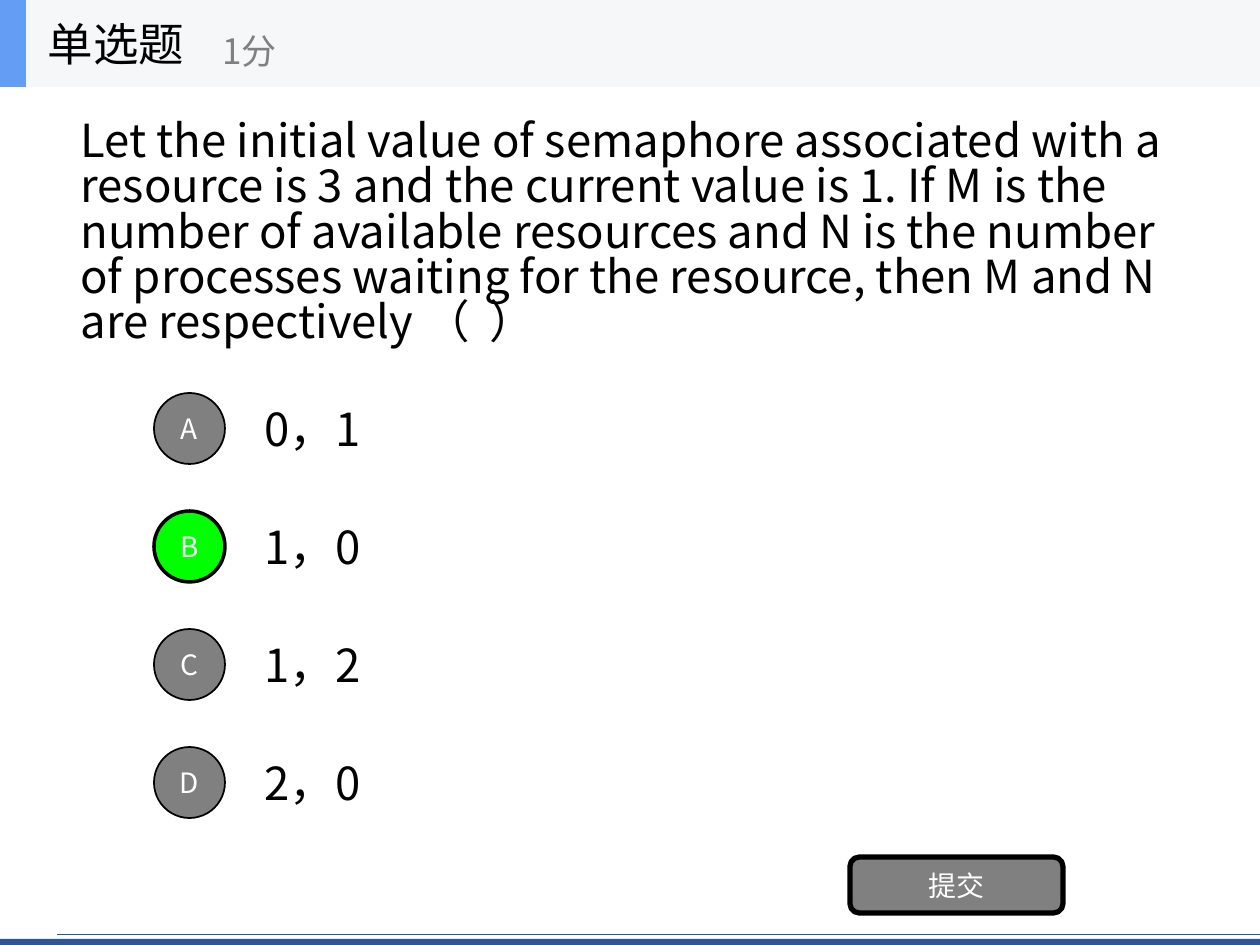
from lxml import etree
from pptx import Presentation
from pptx.dml.color import RGBColor
from pptx.enum.shapes import MSO_CONNECTOR, MSO_SHAPE
from pptx.enum.text import MSO_ANCHOR, MSO_AUTO_SIZE, PP_ALIGN
from pptx.oxml.ns import qn
from pptx.util import Pt

PIXEL = 914400 / 126
FONT = "Noto Sans CJK SC"
BLACK = RGBColor(0x00, 0x00, 0x00)
WHITE = RGBColor(0xFF, 0xFF, 0xFF)
GRAY = RGBColor(0x80, 0x80, 0x80)
GREEN = RGBColor(0x00, 0xFF, 0x00)
NAVY = RGBColor(0x2F, 0x55, 0x97)
SKY = RGBColor(0x63, 0x9E, 0xF4)
PALE = RGBColor(0xF6, 0xF7, 0xF8)

RECTANGLE = MSO_SHAPE.RECTANGLE
ROUNDED = MSO_SHAPE.ROUNDED_RECTANGLE
OVAL = MSO_SHAPE.OVAL
STRAIGHT = MSO_CONNECTOR.STRAIGHT
MIDDLE = MSO_ANCHOR.MIDDLE
NO_RESIZE = MSO_AUTO_SIZE.NONE
LEFT = PP_ALIGN.LEFT
CENTER = PP_ALIGN.CENTER

QUESTION = (
    "Let the initial value of semaphore associated with a resource is 3 "
    "and the current value is 1. If M is the number of available resources "
    "and N is the number of processes waiting for the resource, "
    "then M and N are respectively （  ）"
)
OPTIONS = [("A", "0，1"), ("B", "1，0"), ("C", "1，2"), ("D", "2，0")]
CORRECT = "B"
OPTION_TOP = 384
OPTION_STEP = 118


def px(*lengths):
    return [round(length * PIXEL) for length in lengths]


def write_text(shape, text, size=26, color=BLACK, align=LEFT, spacing=1.0):
    frame = shape.text_frame
    frame.auto_size = NO_RESIZE
    frame.word_wrap = True
    frame.vertical_anchor = MIDDLE
    paragraph = frame.paragraphs[0]
    paragraph.alignment = align
    paragraph.line_spacing = spacing
    paragraph.space_before = Pt(0)
    run = paragraph.add_run()
    run.text = text
    run.font.size = Pt(size)
    run.font.name = FONT
    run.font.color.rgb = color
    east_asian = etree.SubElement(run.font._element, qn("a:ea"))
    east_asian.set("typeface", FONT)


class QuizSlide:
    def __init__(self, presentation):
        self.slide = presentation.slides.add_slide(presentation.slide_layouts[5])
        self.shapes = self.slide.shapes

    def title(self, text, box):
        title = self.shapes.title
        title.left, title.top, title.width, title.height = px(*box)
        write_text(title, text)
        title._element.getparent().append(title._element)

    def text(self, text, box, **style):
        write_text(self.shapes.add_textbox(*px(*box)), text, **style)

    def block(self, kind, box, fill, border=0, label=None):
        shape = self.shapes.add_shape(kind, *px(*box))
        shape.shadow.inherit = False
        shape.fill.solid()
        shape.fill.fore_color.rgb = fill
        if border:
            shape.line.color.rgb = BLACK
            shape.line.width = Pt(border)
        else:
            shape.line.fill.background()
        if label:
            write_text(shape, label, size=16, color=WHITE, align=CENTER)

    def rule(self, ends, color, width):
        connector = self.shapes.add_connector(STRAIGHT, *px(*ends))
        connector.line.color.rgb = color
        connector.line.width = Pt(width)
        etree.SubElement(connector._element.spPr, qn("a:effectLst"))

    def option(self, letter, answer, top):
        chosen = letter == CORRECT
        self.text(answer, (252, top, 882, 88))
        self.block(OVAL, (154, top + 9, 71, 71), GREEN if chosen else GRAY,
                   border=2 if chosen else 1, label=letter)


def main():
    presentation = Presentation()
    presentation.slide_width, presentation.slide_height = px(1260, 945)
    quiz = QuizSlide(presentation)
    quiz.block(RECTANGLE, (0, 939, 1260, 6), NAVY)
    quiz.rule((57, 934, 1260, 934), NAVY, 0.5)
    quiz.text(QUESTION, (68, 87, 1130, 295), spacing=0.83)
    for index, (letter, answer) in enumerate(OPTIONS):
        quiz.option(letter, answer, OPTION_TOP + index * OPTION_STEP)
    quiz.block(ROUNDED, (850, 857, 213, 56), GRAY, border=3, label="提交")
    quiz.block(RECTANGLE, (0, 0, 1260, 87), PALE)
    quiz.block(RECTANGLE, (0, 0, 26, 87), SKY)
    quiz.title("单选题", (35, 0, 262, 87))
    quiz.text("1分", (210, 15, 315, 71), size=20, color=GRAY)
    presentation.save("out.pptx")


if __name__ == "__main__":
    main()
